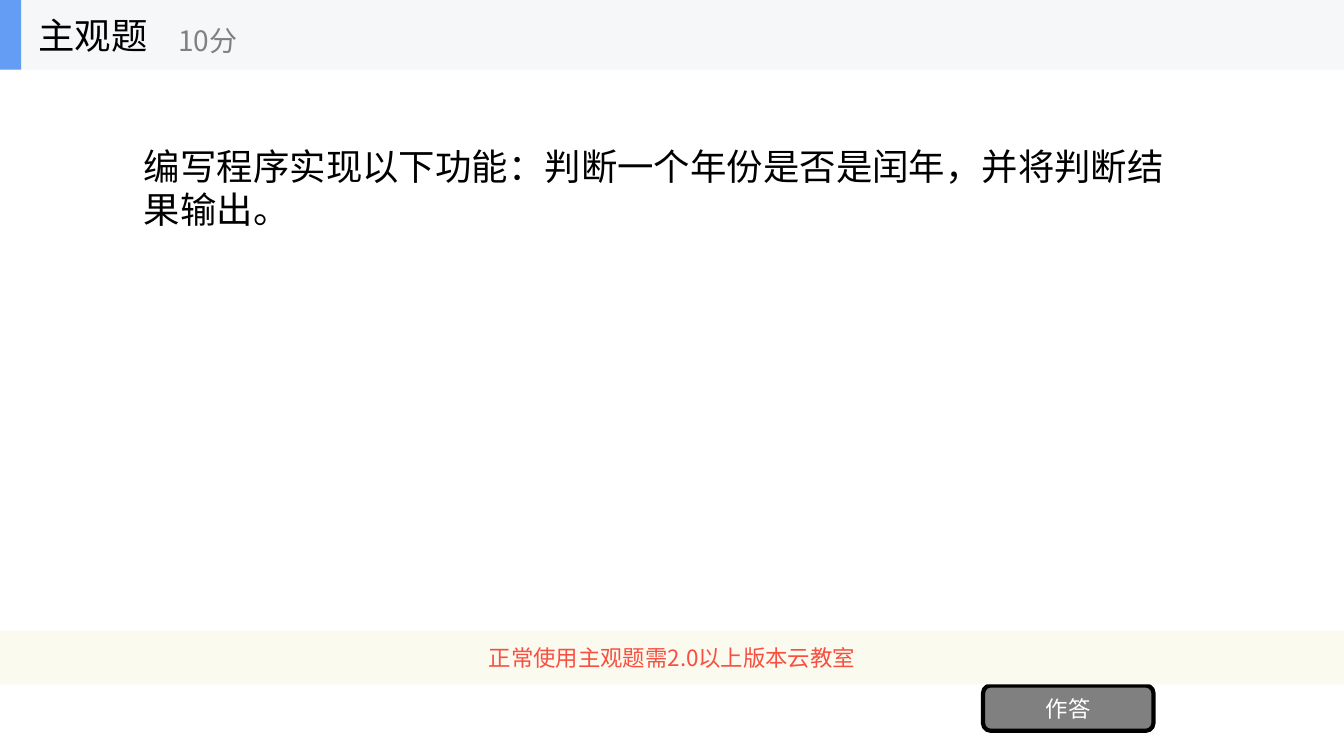
from dataclasses import dataclass

from lxml.etree import SubElement
from pptx import Presentation
from pptx.dml.color import RGBColor
from pptx.enum.shapes import MSO_SHAPE as Preset
from pptx.enum.text import MSO_ANCHOR as Anchor, MSO_AUTO_SIZE as AutoSize, PP_ALIGN as Align
from pptx.oxml.ns import qn
from pptx.shapes.autoshape import Shape
from pptx.slide import Slide
from pptx.util import Inches, Pt

FONT = "Noto Sans CJK SC"
WIDTH = 13.33
HEADER_HEIGHT = 0.69
COLORS = {
    "black": "000000",
    "white": "FFFFFF",
    "gray": "808080",
    "header": "F6F7F8",
    "accent": "639EF4",
    "notice": "FBFAEF",
    "warning": "F84F41",
}


@dataclass(frozen=True)
class Area:
    left: float
    top: float
    width: float
    height: float

    def lengths(self) -> tuple:
        return tuple(Inches(v) for v in (self.left, self.top, self.width, self.height))


@dataclass(frozen=True)
class Panel:
    area: Area
    fill: str
    preset: Preset = Preset.RECTANGLE
    line: str = ""
    text: str = ""
    color: str = "white"


@dataclass(frozen=True)
class Label:
    area: Area
    text: str
    size: int
    color: str = "black"


QUESTION = Label(
    Area(1.33, HEADER_HEIGHT, 10.67, 2.34),
    "编写程序实现以下功能：判断一个年份是否是闰年，并将判断结果输出。",
    26,
)
TITLE = Label(Area(0.28, 0, 2.08, HEADER_HEIGHT), "主观题", 26)
SCORE = Label(Area(1.67, 0.12, 2.5, 0.56), "10分", 20, "gray")
PANELS = [
    Panel(Area(9.75, 6.8, 1.69, 0.45), "gray", Preset.ROUNDED_RECTANGLE, "black", "作答"),
    Panel(
        Area(0, 6.26, WIDTH, 0.53),
        "notice",
        text="正常使用主观题需2.0以上版本云教室",
        color="warning",
    ),
    Panel(Area(0, 0, WIDTH, HEADER_HEIGHT), "header"),
    Panel(Area(0, 0, 0.21, HEADER_HEIGHT), "accent"),
]


def rgb(name: str) -> RGBColor:
    return RGBColor.from_string(COLORS[name])


def write(box: Shape, text: str, *, size: int, color: str, align: Align = Align.LEFT) -> None:
    frame = box.text_frame
    frame.word_wrap = True
    frame.auto_size = AutoSize.NONE
    frame.vertical_anchor = Anchor.MIDDLE
    para = frame.paragraphs[0]
    para.alignment = align
    span = para.add_run()
    span.text = text
    span.font.size = Pt(size)
    span.font.color.rgb = rgb(color)
    span.font.name = FONT
    SubElement(span.font._element, qn("a:ea"), typeface=FONT)


def draw_panel(page: Slide, panel: Panel) -> None:
    shape = page.shapes.add_shape(panel.preset, *panel.area.lengths())
    shape.shadow.inherit = False
    shape.fill.solid()
    shape.fill.fore_color.rgb = rgb(panel.fill)
    if panel.line:
        shape.line.color.rgb = rgb(panel.line)
        shape.line.width = Pt(3)
    else:
        shape.line.fill.background()
    if panel.text:
        write(shape, panel.text, size=16, color=panel.color, align=Align.CENTER)


def draw_label(page: Slide, label: Label) -> None:
    box = page.shapes.add_textbox(*label.area.lengths())
    write(box, label.text, size=label.size, color=label.color)


def place_title(page: Slide, label: Label) -> None:
    title = page.shapes.title
    title.left, title.top, title.width, title.height = label.area.lengths()
    write(title, label.text, size=label.size, color=label.color)
    title.element.getparent().append(title.element)


def main() -> None:
    deck = Presentation()
    deck.slide_width, deck.slide_height = Inches(WIDTH), Inches(7.5)
    page = deck.slides.add_slide(deck.slide_layouts.get_by_name("Title Only"))
    draw_label(page, QUESTION)
    for panel in PANELS:
        draw_panel(page, panel)
    place_title(page, TITLE)
    draw_label(page, SCORE)
    deck.save("out.pptx")


if __name__ == "__main__":
    main()
